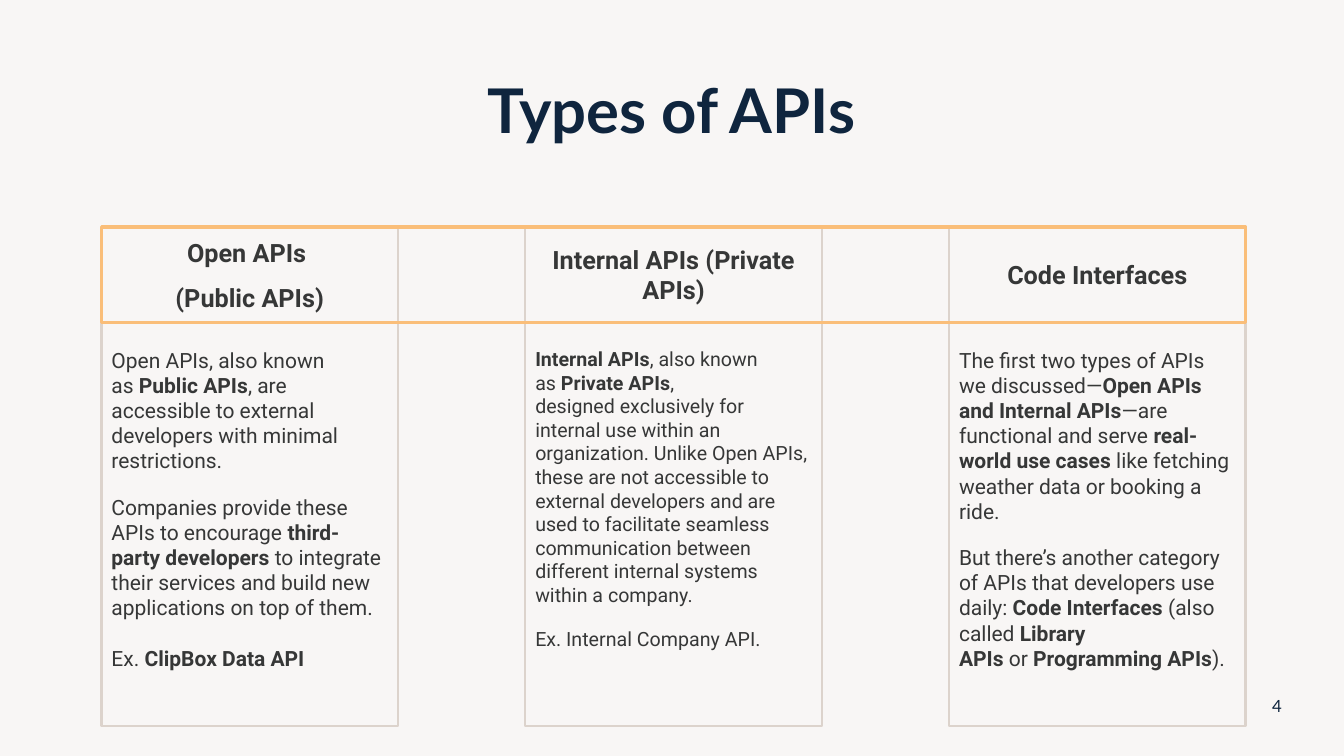
from pptx import Presentation
from pptx.dml.color import RGBColor
from pptx.enum.shapes import MSO_SHAPE
from pptx.enum.text import MSO_ANCHOR, MSO_AUTO_SIZE, PP_ALIGN
from pptx.util import Cm, Pt

TITLE = "Types of APIs"
PAGE_NUMBER = "4"
BOLD_MARK = "**"
TIE_MARK, NO_BREAK_SPACE = "~", chr(160)
COLUMNS = [
    {
        "heading": ["**Open APIs **", "**(Public APIs)**"],
        "size": 15,
        "gaps": [15, 18, 0],
        "body": [
            "Open APIs, also known as~**Public APIs**, are accessible to external "
            "developers with minimal restrictions.",
            "Companies provide these APIs to encourage~**third-party developers**~to "
            "integrate their services and build new applications on top of them.",
            "Ex. **ClipBox Data API**",
        ],
    },
    {
        "heading": ["**Internal APIs (Private APIs)**"],
        "size": 14,
        "gaps": [15, 0],
        "body": [
            "**Internal APIs**, also known as~**Private APIs**, designed~exclusively for "
            "internal use within an organization. Unlike Open APIs, these are not "
            "accessible to external developers and are used to facilitate seamless "
            "communication between different internal systems within a company.",
            "Ex. Internal Company API.",
        ],
    },
    {
        "heading": ["**Code Interfaces**"],
        "size": 15,
        "gaps": [15, 0],
        "body": [
            "The first two types of APIs we discussed—**Open APIs and Internal APIs**—are "
            "functional and serve~**real-world use cases**~like fetching weather data or "
            "booking a ride.",
            "But there’s another category of APIs that developers use daily:~"
            "**Code Interfaces**~(also called~**Library APIs**~or~"
            "**Programming APIs**).",
        ],
    },
]

BACKGROUND, BORDER, HIGHLIGHT = "F8F6F5", "DCD3CC", "FABE79"
NAVY, GRAY = "0F253E", "363737"

LEFT, COLUMN_WIDTH, COLUMN_PITCH = 2.56, 7.47, 10.68
HEADING_TOP, HEADING_HEIGHT = 5.72, 2.41
BODY_TOP, BODY_HEIGHT = 8.14, 10.15


def color(value):
    return RGBColor.from_string(value)


def format_font(font, name, size, value, bold=False):
    font.name = name
    font.size = Pt(size)
    font.bold = bold
    font.color.rgb = color(value)


def add_box(slide, left, top, width, height, line_color, line_width):
    shape = slide.shapes.add_shape(
        MSO_SHAPE.RECTANGLE, Cm(left), Cm(top), Cm(width), Cm(height))
    shape.shadow.inherit = False
    shape.fill.background()
    shape.line.color.rgb = color(line_color)
    shape.line.width = Pt(line_width)
    return shape


def write_paragraphs(text_frame, texts, size, alignment):
    text_frame.word_wrap = True
    for index, text in enumerate(texts):
        paragraph = text_frame.add_paragraph() if index else text_frame.paragraphs[0]
        paragraph.alignment = alignment
        parts = text.replace(TIE_MARK, NO_BREAK_SPACE).split(BOLD_MARK)
        for part_index, part in enumerate(parts):
            if part:
                run = paragraph.add_run()
                run.text = part
                format_font(run.font, "Roboto", size, GRAY, part_index % 2 == 1)


def add_column(slide, left, column):
    heading = add_box(slide, left, HEADING_TOP, COLUMN_WIDTH, HEADING_HEIGHT, BORDER, 1.5)
    heading.text_frame.vertical_anchor = MSO_ANCHOR.MIDDLE
    write_paragraphs(heading.text_frame, column["heading"], 18, PP_ALIGN.CENTER)
    for paragraph in heading.text_frame.paragraphs[1:]:
        paragraph.space_before = Pt(10)

    body = add_box(slide, left, BODY_TOP, COLUMN_WIDTH, BODY_HEIGHT, BORDER, 1.5)
    body.text_frame.vertical_anchor = MSO_ANCHOR.TOP
    body.text_frame.margin_top = Cm(0.61)
    write_paragraphs(body.text_frame, column["body"], column["size"], PP_ALIGN.LEFT)
    for paragraph, gap in zip(body.text_frame.paragraphs, column["gaps"]):
        paragraph.space_after = Pt(gap)


def write_line(shape, text, size, bold):
    text_frame = shape.text_frame
    text_frame.text = text
    text_frame.word_wrap = True
    text_frame.auto_size = MSO_AUTO_SIZE.NONE
    text_frame.vertical_anchor = MSO_ANCHOR.MIDDLE
    paragraph = text_frame.paragraphs[0]
    paragraph.alignment = PP_ALIGN.CENTER
    format_font(paragraph.runs[0].font, "Lato", size, NAVY, bold)
    return paragraph


def main():
    presentation = Presentation()
    presentation.slide_width = Cm(33.87)
    presentation.slide_height = Cm(19.05)
    slide = presentation.slides.add_slide(presentation.slide_layouts[5])
    slide.background.fill.solid()
    slide.background.fill.fore_color.rgb = color(BACKGROUND)

    title = slide.shapes.title
    title.left, title.top = Cm(2.32), Cm(1.02)
    title.width, title.height = Cm(29.21), Cm(3.68)
    write_line(title, TITLE, 44, True).line_spacing = 0.9

    for index, column in enumerate(COLUMNS):
        add_column(slide, LEFT + index * COLUMN_PITCH, column)

    row_width = (len(COLUMNS) - 1) * COLUMN_PITCH + COLUMN_WIDTH
    add_box(slide, LEFT, HEADING_TOP, row_width, HEADING_HEIGHT, HIGHLIGHT, 2.25)

    number = slide.shapes.add_textbox(Cm(31.55), Cm(17.27), Cm(1.27), Cm(1.02))
    write_line(number, PAGE_NUMBER, 12, False)

    presentation.save("out.pptx")


if __name__ == "__main__":
    main()
